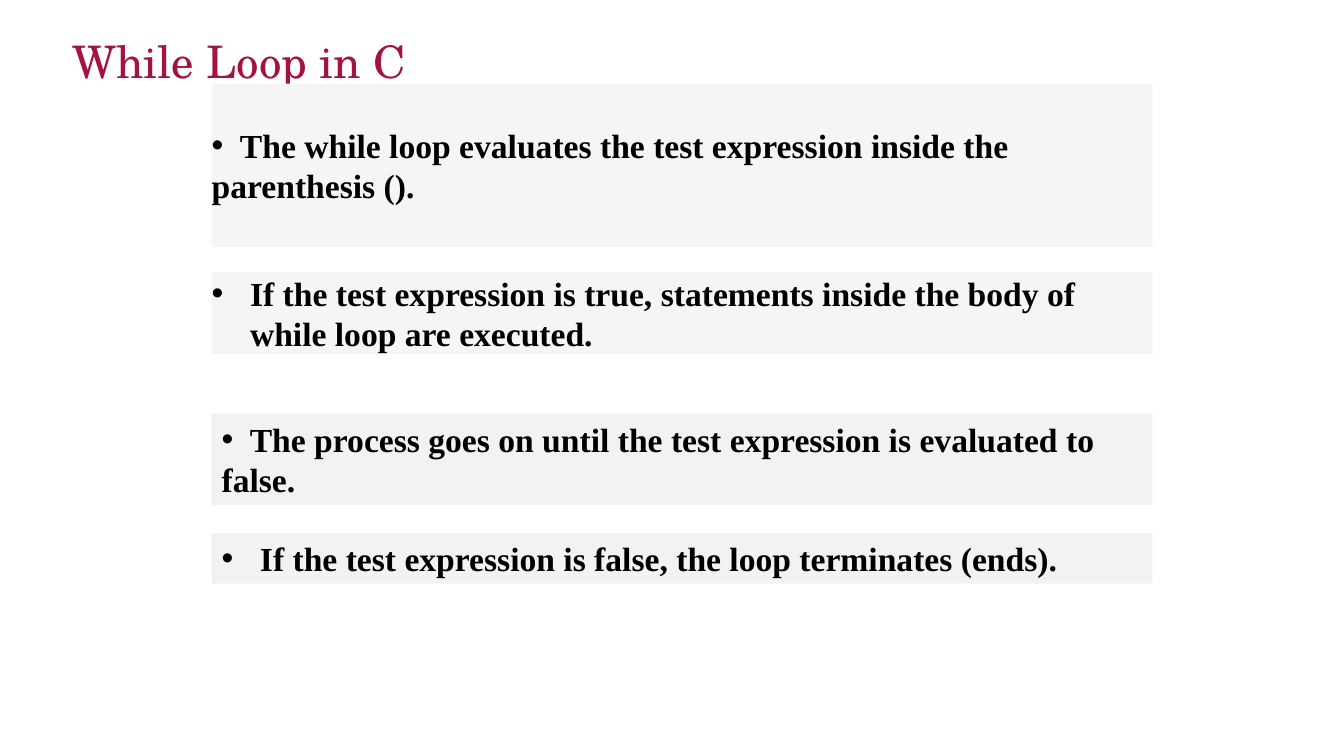
from lxml import etree
from pptx import Presentation
from pptx.dml.color import RGBColor
from pptx.enum.shapes import MSO_SHAPE as SHAPE
from pptx.enum.text import MSO_ANCHOR as ANCHOR, PP_ALIGN as ALIGN
from pptx.oxml.ns import qn
from pptx.util import Inches, Pt

CRIMSON = RGBColor(0xA4, 0x12, 0x3F)
BLACK = RGBColor(0, 0, 0)
PALE = RGBColor(0xF5, 0xF5, 0xF5)
GREY = RGBColor(0xF2, 0xF2, 0xF2)
TITLE_FONT = {"name": "TeX Gyre Schola", "size": Pt(32)}
BODY_FONT = {"name": "Times New Roman", "size": Pt(24), "bold": True}
HANG, TAB = Inches(0.38), Inches(0.28)
LEFT, WIDTH = 2.1, 9.33
FLUSH, PADDED = (0, 0), (0.1, 0.05)

STEPS = [
    (0.83, 1.62, PALE, FLUSH, False,
     "The while loop evaluates the test expression inside the parenthesis ()."),
    (2.7, 0.81, PALE, FLUSH, True,
     "If the test expression is true, statements inside the body of while loop are executed."),
    (4.1, 0.91, GREY, PADDED, False,
     "The process goes on until the test expression is evaluated to false."),
    (5.29, 0.5, GREY, PADDED, True,
     "If the test expression is false, the loop terminates (ends)."),
]


def write(p, text, font, color):
    """Add one formatted run to a paragraph."""
    r = p.add_run()
    r.text = text
    for key, value in font.items():
        setattr(r.font, key, value)
    r.font.color.rgb = color


def add_bullet(p, hanging):
    """Bullet a paragraph, with a hanging indent or a tab after the bullet."""
    pPr = p._p.get_or_add_pPr()
    indent = HANG if hanging else 0
    pPr.set("marL", str(indent))
    pPr.set("indent", str(-indent))
    etree.SubElement(pPr, qn("a:buFont"), typeface="Arial")
    etree.SubElement(pPr, qn("a:buChar"), char="•")
    if not hanging:
        tabs = etree.SubElement(pPr, qn("a:tabLst"))
        etree.SubElement(tabs, qn("a:tab"), pos=str(TAB), algn="l")


def add_title(s, box, text):
    """Place the slide title in the given box."""
    tf = s.shapes.add_textbox(*map(Inches, box)).text_frame
    tf.word_wrap = True
    tf.vertical_anchor = ANCHOR.MIDDLE
    p = tf.paragraphs[0]
    p.line_spacing = 0.9
    write(p, text, TITLE_FONT, CRIMSON)


def add_step(s, box, fill, insets, hanging, text):
    """Place one shaded panel holding a bulleted step."""
    sp = s.shapes.add_shape(SHAPE.RECTANGLE, *map(Inches, box))
    sp.shadow.inherit = False
    sp.fill.solid()
    sp.fill.fore_color.rgb = fill
    sp.line.fill.background()
    tf = sp.text_frame
    tf.word_wrap = True
    tf.vertical_anchor = ANCHOR.MIDDLE
    tf.margin_left = tf.margin_right = Inches(insets[0])
    tf.margin_top = tf.margin_bottom = Inches(insets[1])
    p = tf.paragraphs[0]
    p.alignment = ALIGN.LEFT
    add_bullet(p, hanging)
    write(p, text if hanging else "\t" + text, BODY_FONT, BLACK)


def main():
    """Build the slide and save it."""
    prs = Presentation()
    prs.slide_width, prs.slide_height = Inches(13.33), Inches(7.5)
    s = prs.slides.add_slide(prs.slide_layouts[6])
    add_title(s, (0.62, 0.38, 12.26, 0.51), "While Loop in C")
    for top, height, fill, insets, hanging, text in STEPS:
        add_step(s, (LEFT, top, WIDTH, height), fill, insets, hanging, text)
    prs.save("out.pptx")


if __name__ == "__main__":
    main()
